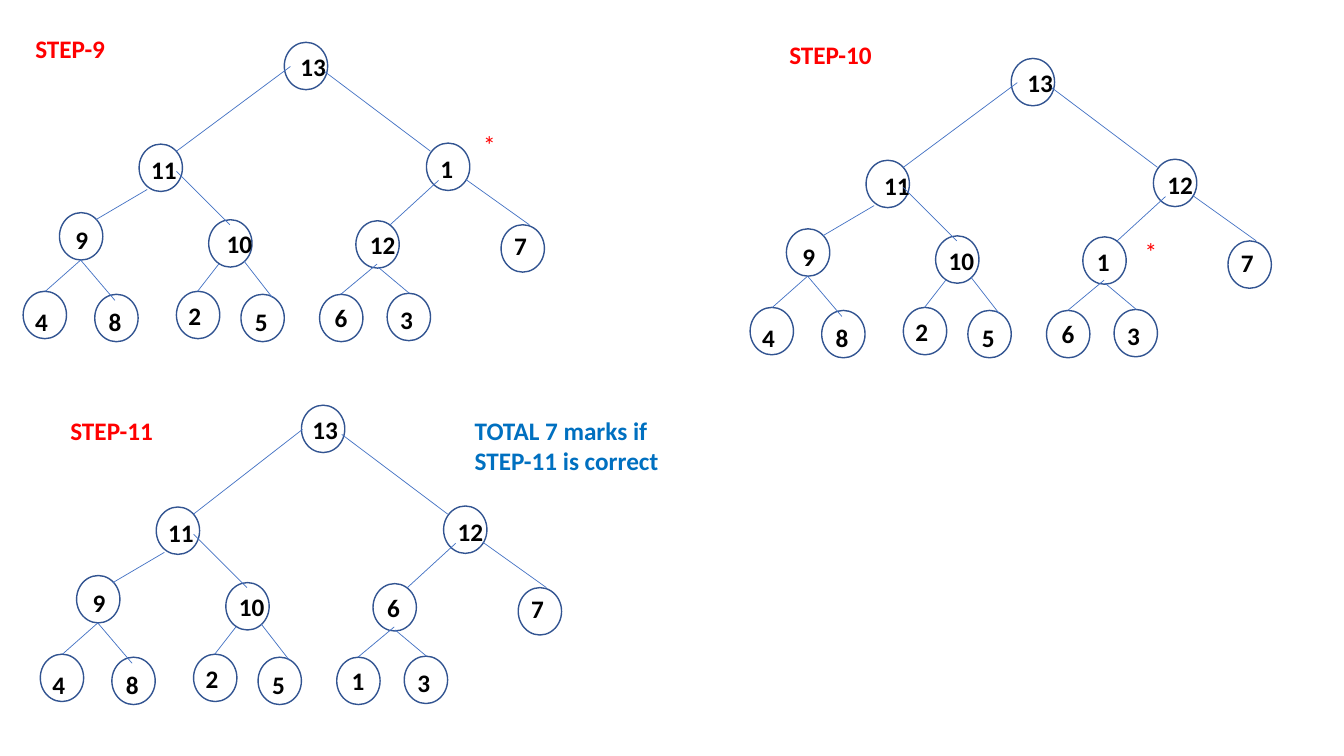
from dataclasses import dataclass, field

import pptx
import pptx.dml.color
import pptx.enum.shapes
import pptx.enum.text
import pptx.oxml.ns
import pptx.util
from lxml import etree
from pptx.util import Inches


@dataclass(frozen=True)
class Theme:
    font: str = "Calibri"
    text_size: float = 18
    outline_width: float = 1
    branch_width: float = 0.5
    black: str = "000000"
    red: str = "FF0000"
    blue: str = "0070C0"
    outline: str = "325491"
    branch: str = "4472C4"


@dataclass(frozen=True)
class Node:
    left: float
    top: float
    label_left: float
    label_top: float


@dataclass(frozen=True)
class Branch:
    start_x: float
    start_y: float
    end_x: float
    end_y: float
    end_follows_label: bool = False


@dataclass(frozen=True)
class Heap:
    left: float
    top: float
    values: tuple[int, ...]
    label_shifts: dict[int, float] = field(default_factory=dict)


@dataclass(frozen=True)
class Note:
    text: str
    left: float
    top: float
    width: float
    color: str
    height: float = 0.4
    bold: bool = True


THEME = Theme()
NODE_WIDTH, NODE_HEIGHT = 0.43, 0.47
LABEL_WIDTH, LABEL_HEIGHT = 0.58, 0.4

NODES = (
    Node(2.82, 0.42, 2.88, 0.46),
    Node(1.38, 1.43, 1.4, 1.48),
    Node(4.23, 1.42, 4.27, 1.47),
    Node(0.59, 2.11, 0.65, 2.18),
    Node(2.07, 2.18, 2.1, 2.22),
    Node(3.53, 2.19, 3.57, 2.23),
    Node(4.97, 2.23, 5.0, 2.24),
    Node(0.23, 2.89, 0.25, 2.99),
    Node(0.94, 2.92, 0.98, 2.99),
    Node(1.75, 2.89, 1.77, 2.93),
    Node(2.39, 2.92, 2.43, 2.99),
    Node(3.17, 2.92, 3.22, 2.95),
    Node(3.84, 2.91, 3.87, 2.97),
)
ROOT, LEFT_CHILD, INNER_RIGHT = 0, 1, 4

BRANCHES = (
    Branch(1.75, 1.5, 2.88, 0.66, end_follows_label=True),
    Branch(3.22, 0.71, 4.27, 1.5),
    Branch(1.46, 1.88, 0.95, 2.18),
    Branch(1.75, 1.7, 2.28, 2.23),
    Branch(3.87, 2.23, 4.35, 1.79),
    Branch(5.25, 2.23, 4.62, 1.78),
    Branch(0.8, 2.58, 0.45, 2.89),
    Branch(0.8, 2.58, 1.14, 2.98),
    Branch(2.17, 2.62, 1.96, 2.89),
    Branch(2.42, 2.59, 2.7, 2.95),
    Branch(3.38, 2.92, 3.74, 2.62),
    Branch(3.75, 2.65, 4.06, 2.91),
)

HEAPS = (
    Heap(0, 0, (13, 11, 1, 9, 10, 12, 7, 4, 8, 2, 5, 6, 3), {INNER_RIGHT: 0.05}),
    Heap(7.21, 0.16, (13, 11, 12, 9, 10, 1, 7, 4, 8, 2, 5, 6, 3), {LEFT_CHILD: 0.06}),
    Heap(0.17, 3.6, (13, 11, 12, 9, 10, 6, 7, 4, 8, 2, 5, 1, 3), {ROOT: -0.05}),
)

TITLE = Note("STEP-9", 0.25, 0.28, 1.6, THEME.red)
NOTES = (
    Note("STEP-10", 7.73, 0.34, 1.6, THEME.red),
    Note("STEP-11", 0.6, 4.07, 1.6, THEME.red),
    Note("*", 4.7, 1.23, 0.19, THEME.red, bold=False),
    Note("*", 11.26, 2.3, 0.19, THEME.red, bold=False),
    Note("TOTAL 7 marks if STEP-11 is correct", 4.61, 4.07, 2.08, THEME.blue, height=0.71),
)


def rgb(color: str) -> pptx.dml.color.RGBColor:
    return pptx.dml.color.RGBColor.from_string(color)


def write_text(shape, text: str, *, color: str = THEME.black, bold: bool = True) -> None:
    frame = shape.text_frame
    frame.word_wrap = True
    frame.auto_size = pptx.enum.text.MSO_AUTO_SIZE.SHAPE_TO_FIT_TEXT
    frame.vertical_anchor = pptx.enum.text.MSO_ANCHOR.TOP
    paragraph = frame.paragraphs[0]
    paragraph.alignment = pptx.enum.text.PP_ALIGN.LEFT
    run = paragraph.add_run()
    run.text = text
    run.font.name = THEME.font
    run.font.size = pptx.util.Pt(THEME.text_size)
    run.font.bold = bold
    run.font.color.rgb = rgb(color)


def draw_node(slide, heap: Heap, node: Node) -> None:
    shape = slide.shapes.add_shape(
        pptx.enum.shapes.MSO_SHAPE.OVAL,
        Inches(heap.left + node.left), Inches(heap.top + node.top),
        Inches(NODE_WIDTH), Inches(NODE_HEIGHT),
    )
    shape.shadow.inherit = False
    shape.fill.background()
    shape.line.color.rgb = rgb(THEME.outline)
    shape.line.width = pptx.util.Pt(THEME.outline_width)


def draw_label(slide, heap: Heap, node: Node, value: int, shift: float) -> None:
    shape = slide.shapes.add_textbox(
        Inches(heap.left + node.label_left + shift), Inches(heap.top + node.label_top),
        Inches(LABEL_WIDTH), Inches(LABEL_HEIGHT),
    )
    write_text(shape, str(value))


def draw_branch(slide, heap: Heap, branch: Branch) -> None:
    shift = heap.label_shifts.get(ROOT, 0) if branch.end_follows_label else 0
    connector = slide.shapes.add_connector(
        pptx.enum.shapes.MSO_CONNECTOR.STRAIGHT,
        Inches(heap.left + branch.start_x), Inches(heap.top + branch.start_y),
        Inches(heap.left + branch.end_x + shift), Inches(heap.top + branch.end_y),
    )
    connector.line.color.rgb = rgb(THEME.branch)
    connector.line.width = pptx.util.Pt(THEME.branch_width)
    properties = connector._element.spPr
    etree.SubElement(properties, pptx.oxml.ns.qn("a:effectLst"))


def draw_heap(slide, heap: Heap) -> None:
    for node in NODES:
        draw_node(slide, heap, node)
    for index, (node, value) in enumerate(zip(NODES, heap.values)):
        draw_label(slide, heap, node, value, heap.label_shifts.get(index, 0))
    for branch in BRANCHES:
        draw_branch(slide, heap, branch)


def place_note(shape, note: Note) -> None:
    shape.left, shape.top = Inches(note.left), Inches(note.top)
    shape.width, shape.height = Inches(note.width), Inches(note.height)
    write_text(shape, note.text, color=note.color, bold=note.bold)


def main() -> None:
    presentation = pptx.Presentation()
    presentation.slide_width = Inches(13.33)
    presentation.slide_height = Inches(7.5)
    slide = presentation.slides.add_slide(presentation.slide_layouts.get_by_name("Title Only"))
    for heap in HEAPS:
        draw_heap(slide, heap)
    place_note(slide.shapes.title, TITLE)
    for note in NOTES:
        place_note(slide.shapes.add_textbox(0, 0, 0, 0), note)
    presentation.save("out.pptx")


if __name__ == "__main__":
    main()
